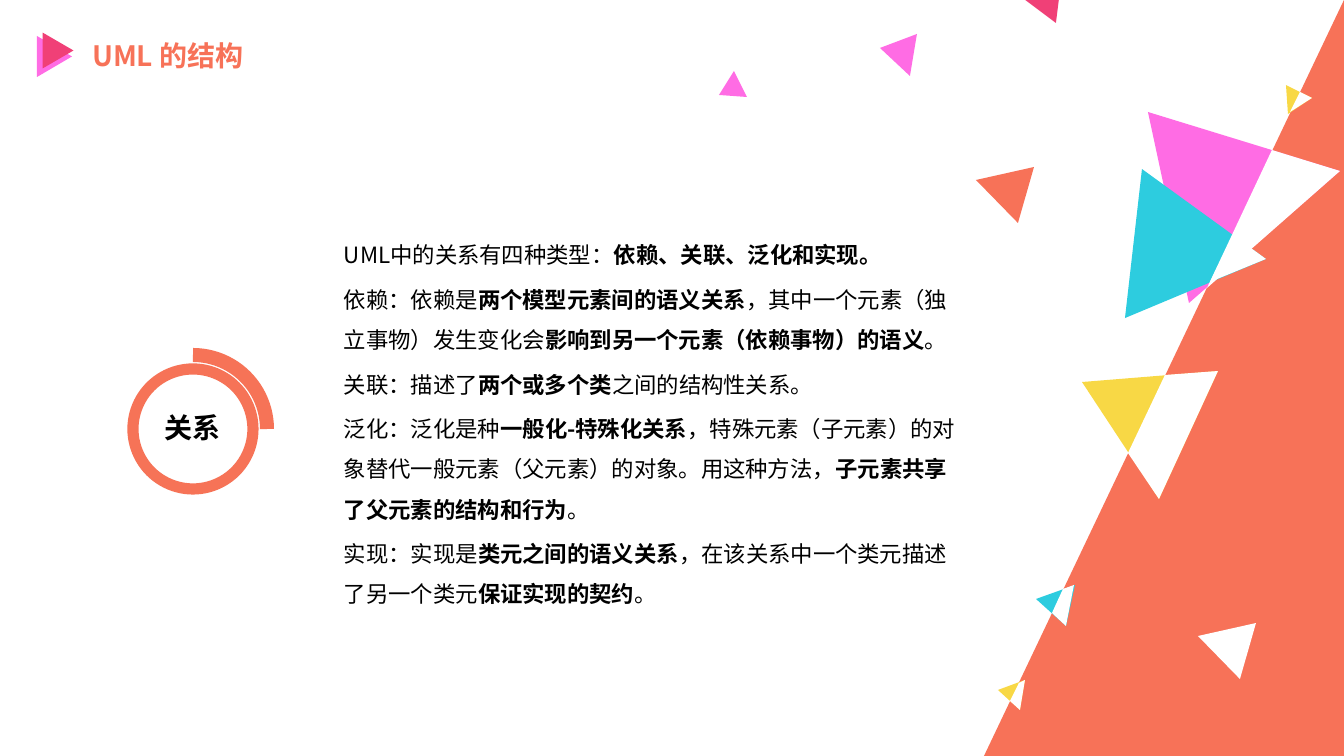
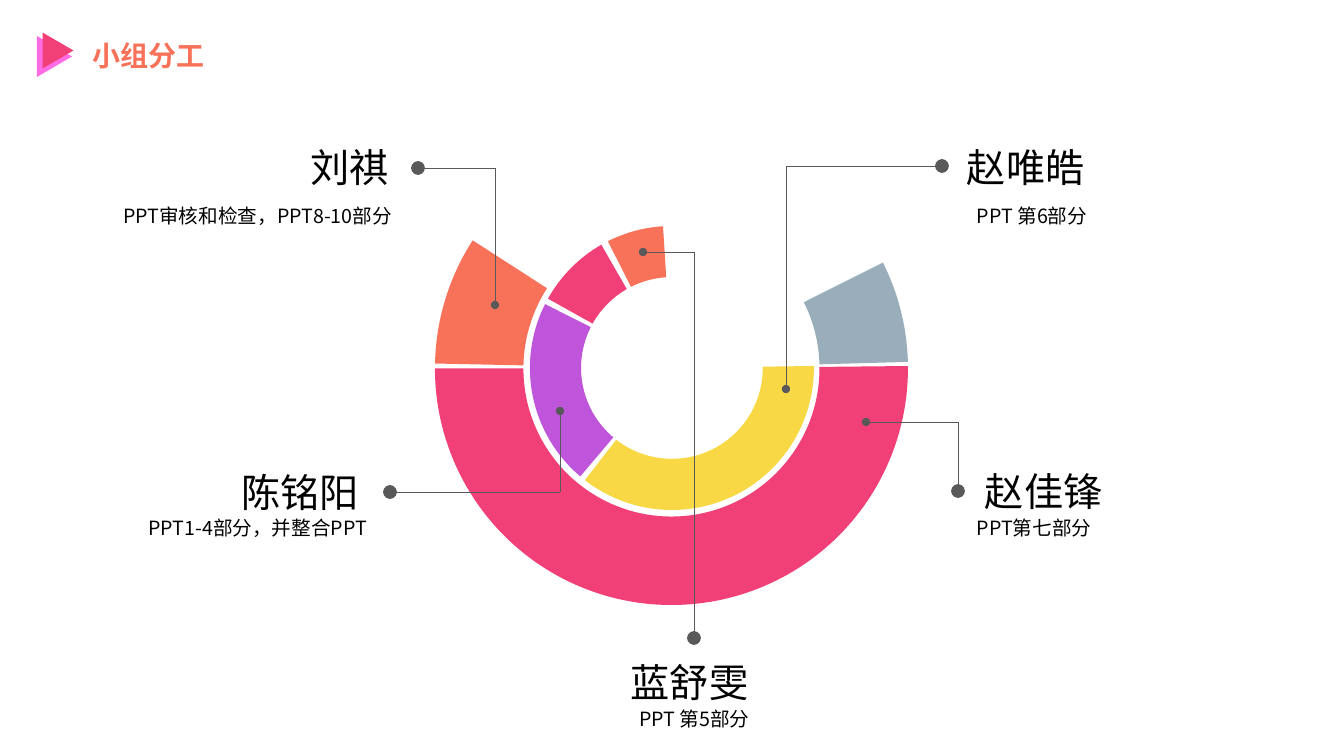
from lxml import etree
from pptx import Presentation
from pptx.dml.color import RGBColor
from pptx.enum.shapes import MSO_CONNECTOR, MSO_SHAPE
from pptx.enum.text import MSO_ANCHOR, MSO_AUTO_SIZE, PP_ALIGN
from pptx.oxml.ns import qn
from pptx.util import Emu, Pt

# Page geometry: 1344 x 756 px fills a 13.33 x 7.5 inch page
EMU_PER_PX = 12192000 / 1344
PAGE_WIDTH, PAGE_HEIGHT = 1344, 756
TITLE_ONLY = 5

# Shared style
FONT = "Noto Sans CJK SC"
BLACK = RGBColor(0x00, 0x00, 0x00)
WHITE = RGBColor(0xFF, 0xFF, 0xFF)
CORAL = RGBColor(0xF7, 0x72, 0x58)
BADGE_CORAL = RGBColor(0xF6, 0x73, 0x57)
PINK = RGBColor(0xFF, 0x6C, 0xE4)
CRIMSON = RGBColor(0xF0, 0x40, 0x77)
CYAN = RGBColor(0x2D, 0xCC, 0xDF)
YELLOW = RGBColor(0xF8, 0xD8, 0x45)
PURPLE = RGBColor(0xBF, 0x55, 0xDB)
SLATE = RGBColor(0x99, 0xAE, 0xBA)
GRAY = RGBColor(0x59, 0x59, 0x59)

LEFT, CENTER, RIGHT = PP_ALIGN.LEFT, PP_ALIGN.CENTER, PP_ALIGN.RIGHT
TOP = MSO_ANCHOR.TOP
GROW = MSO_AUTO_SIZE.SHAPE_TO_FIT_TEXT
TRIANGLE = MSO_SHAPE.ISOSCELES_TRIANGLE
OVAL, ARC, BLOCK_ARC = MSO_SHAPE.OVAL, MSO_SHAPE.ARC, MSO_SHAPE.BLOCK_ARC
STRAIGHT = MSO_CONNECTOR.STRAIGHT

# Decorative pieces, from back to front
SHARDS = [
    (CORAL, [(1034, 167), (1018, 223), (976, 180)]),
    (PINK, [(1189, 303), (1148, 112), (1340, 171)]),
    (CYAN, [(1125, 318), (1142, 169), (1266, 259)]),
    (CYAN, [(1036, 599), (1075, 585), (1066, 626)]),
    (YELLOW, [(998, 690), (1025, 680), (1020, 710)]),
    (YELLOW, [(1082, 382), (1218, 371), (1159, 499)]),
    (YELLOW, [(1288, 114), (1286, 85), (1312, 98)]),
    (PINK, [(880, 48), (917, 34), (910, 76)]),
    (CRIMSON, [(1056, 23), (1024, -1), (1061, -17)]),
    (WHITE, [(1256, 623), (1240, 679), (1198, 636)]),
    (WHITE, [(1272, 150), (1340, 171), (1207, 288)]),
    (WHITE, [(1233, 235), (1266, 259), (1210, 282)]),
    (WHITE, [(1074, 585), (1066, 626), (1052, 613), (1063, 589)]),
    (WHITE, [(1025, 680), (1020, 710), (1010, 701), (1019, 683)]),
    (WHITE, [(1218, 371), (1159, 499), (1128, 453), (1165, 375)]),
    (WHITE, [(1300, 92), (1312, 98), (1290, 112)]),
    (PINK, [(719, 95), (734, 71), (747, 97)]),
]

# Asterisks enclose the bold phrases
RELATIONS = """UML中的关系有四种类型：*依赖、关联、泛化和实现。*
依赖：依赖是*两个模型元素间的语义关系*，其中一个元素（独立事物）发生变化会*影响到另一个元素（依赖事物）的语义*。
关联：描述了*两个或多个类*之间的结构性关系。
泛化：泛化是种*一般化-特殊化关系*，特殊元素（子元素）的对象替代一般元素（父元素）的对象。用这种方法，*子元素共享了父元素的结构和行为*。
实现：实现是*类元之间的语义关系*，在该关系中一个类元描述了另一个类元*保证实现的契约*。"""

# Ring boxes and their segments: box, start and end degrees, thickness, colour
OUTER_RING = (435, 132, 473, 473)
INNER_RING = (530, 226, 284, 284)
SEGMENTS = [
    (OUTER_RING, 359.4, 180, 0.187, CRIMSON),
    (INNER_RING, 130.2, 206.7, 0.18, PURPLE),
    (INNER_RING, 359.2, 127.8, 0.18, YELLOW),
    (INNER_RING, 209.2, 240.2, 0.18, CRIMSON),
    (OUTER_RING, 181.2, 212.8, 0.187, CORAL),
    (OUTER_RING, 333.4, 358.4, 0.187, SLATE),
    (INNER_RING, 243.2, 266.4, 0.18, CORAL),
]

# Members: name, name box, duty, duty box, alignment of both, leader points
MEMBERS = [
    ("赵唯皓", (957, 138, 139, 57), "PPT 第6部分", (967, 199, 247, 34),
     LEFT, [(786, 389), (786, 166), (942, 166)]),
    ("刘祺", (299, 138, 100, 57), "PPT审核和检查，PPT8-10部分",
     (74, 199, 328, 34), RIGHT, [(495, 305), (495, 168), (418, 168)]),
    ("陈铭阳", (230, 463, 139, 57), "PPT1-4部分，并整合PPT",
     (130, 511, 247, 34), RIGHT, [(560, 411), (560, 492), (390, 492)]),
    ("赵佳锋", (975, 462, 139, 57), "PPT第七部分", (967, 511, 247, 34),
     LEFT, [(866, 422), (958, 422), (958, 491)]),
    ("蓝舒雯", (620, 653, 139, 57), "PPT 第5部分", (571, 702, 247, 34),
     CENTER, [(643, 252), (694, 252), (694, 638)]),
]


def px(*lengths):
    return [Emu(round(length * EMU_PER_PX)) for length in lengths]


def write_text(frame, text, size, color=BLACK, bold=False, align=LEFT,
               wrap=True, line_spacing=None, space_before=0):
    """Fill a frame; a line is a paragraph, asterisks toggle bold."""
    frame.word_wrap = wrap
    frame.auto_size = GROW
    frame.vertical_anchor = TOP
    for index, line in enumerate(text.split("\n")):
        para = frame.add_paragraph() if index else frame.paragraphs[0]
        para.alignment = align
        para.line_spacing = line_spacing
        para.space_before = Pt(space_before if index else 0)
        for part, words in enumerate(line.split("*")):
            if not words:
                continue
            span = para.add_run()
            span.text = words
            font = span.font
            font.size, font.name = Pt(size), FONT
            font.bold = bold or part % 2 == 1
            font.color.rgb = color
            east_asian = etree.SubElement(span._r.get_or_add_rPr(), qn("a:ea"))
            east_asian.set("typeface", FONT)


def add_text(page, text, box, size, inset=None, **style):
    frame = page.shapes.add_textbox(*px(*box)).text_frame
    if inset is not None:
        frame.margin_left = frame.margin_right = inset
        frame.margin_top = frame.margin_bottom = inset
    write_text(frame, text, size, **style)


def add_figure(page, kind, box, fill=None, line=None, line_width=0,
               rotation=0, adjustments=()):
    figure = page.shapes.add_shape(kind, *px(*box))
    figure.shadow.inherit = False
    figure.rotation = rotation
    for index, value in enumerate(adjustments):
        figure.adjustments[index] = value
    if fill is None:
        figure.fill.background()
    else:
        figure.fill.solid()
        figure.fill.fore_color.rgb = fill
    if line is None:
        figure.line.fill.background()
    else:
        figure.line.color.rgb = line
        figure.line.width = Pt(line_width)


def add_shard(page, color, points):
    builder = page.shapes.build_freeform(*points[0], scale=EMU_PER_PX)
    builder.add_line_segments(points[1:], close=True)
    shard = builder.convert_to_shape()
    shard.shadow.inherit = False
    shard.fill.solid()
    shard.fill.fore_color.rgb = color
    shard.line.fill.background()


def add_dotted_line(page, start, end, dot, dot_size):
    """Draw a thin line with an oval at its headEnd or tailEnd."""
    connector = page.shapes.add_connector(STRAIGHT, *px(*start, *end))
    connector.line.color.rgb = GRAY
    connector.line.width = Pt(0.5)
    properties = connector.element.spPr
    etree.SubElement(properties.find(qn("a:ln")), qn(f"a:{dot}"),
                     type="oval", w=dot_size, len=dot_size)
    etree.SubElement(properties, qn("a:effectLst"))


def add_leader(page, start, corner, end):
    add_dotted_line(page, start, corner, "headEnd", "med")
    add_dotted_line(page, corner, end, "tailEnd", "lg")


def add_page(deck, title):
    """Add a page with the shared title and its double marker."""
    page = deck.slides.add_slide(deck.slide_layouts[TITLE_ONLY])
    heading = page.shapes.title
    heading.left, heading.top, heading.width, heading.height = px(82, 33, 224, 44)
    write_text(heading.text_frame, title, 20, color=CORAL, bold=True)
    add_figure(page, TRIANGLE, (34, 39, 41, 35), fill=PINK, rotation=90)
    add_figure(page, TRIANGLE, (40, 35, 36, 31), fill=CRIMSON, rotation=90)
    return page


def build_relations(deck):
    page = add_page(deck, "UML 的结构")
    # Coral corner and scattered shards
    add_figure(page, TRIANGLE, (984, 0, 360, PAGE_HEIGHT), fill=CORAL,
               adjustments=[1])
    for color, points in SHARDS:
        add_shard(page, color, points)
    # Explanation
    add_text(page, RELATIONS, (344, 228, 623, 388), 16, inset=0,
             line_spacing=1.5, space_before=3)
    # Round badge
    add_figure(page, OVAL, (133, 369, 120, 120), line=BADGE_CORAL, line_width=8)
    add_figure(page, ARC, (119, 355, 148, 148), line=BADGE_CORAL, line_width=10)
    add_text(page, "关系", (154, 406, 77, 44), 20, bold=True, align=CENTER,
             wrap=False)


def build_team(deck):
    page = add_page(deck, "小组分工")
    # Rings: angle adjustments count 0.6 per degree
    for box, start, end, thickness, color in SEGMENTS:
        add_figure(page, BLOCK_ARC, box, fill=color,
                   adjustments=[start * 0.6, end * 0.6, thickness])
    # Members with their leaders
    for name, name_box, duty, duty_box, align, points in MEMBERS:
        add_leader(page, *points)
        add_text(page, name, name_box, 28, align=align, wrap=False)
        add_text(page, duty, duty_box, 14, align=align)


def main():
    deck = Presentation()
    deck.slide_width, deck.slide_height = px(PAGE_WIDTH, PAGE_HEIGHT)
    build_relations(deck)
    build_team(deck)
    deck.save("out.pptx")


if __name__ == "__main__":
    main()
